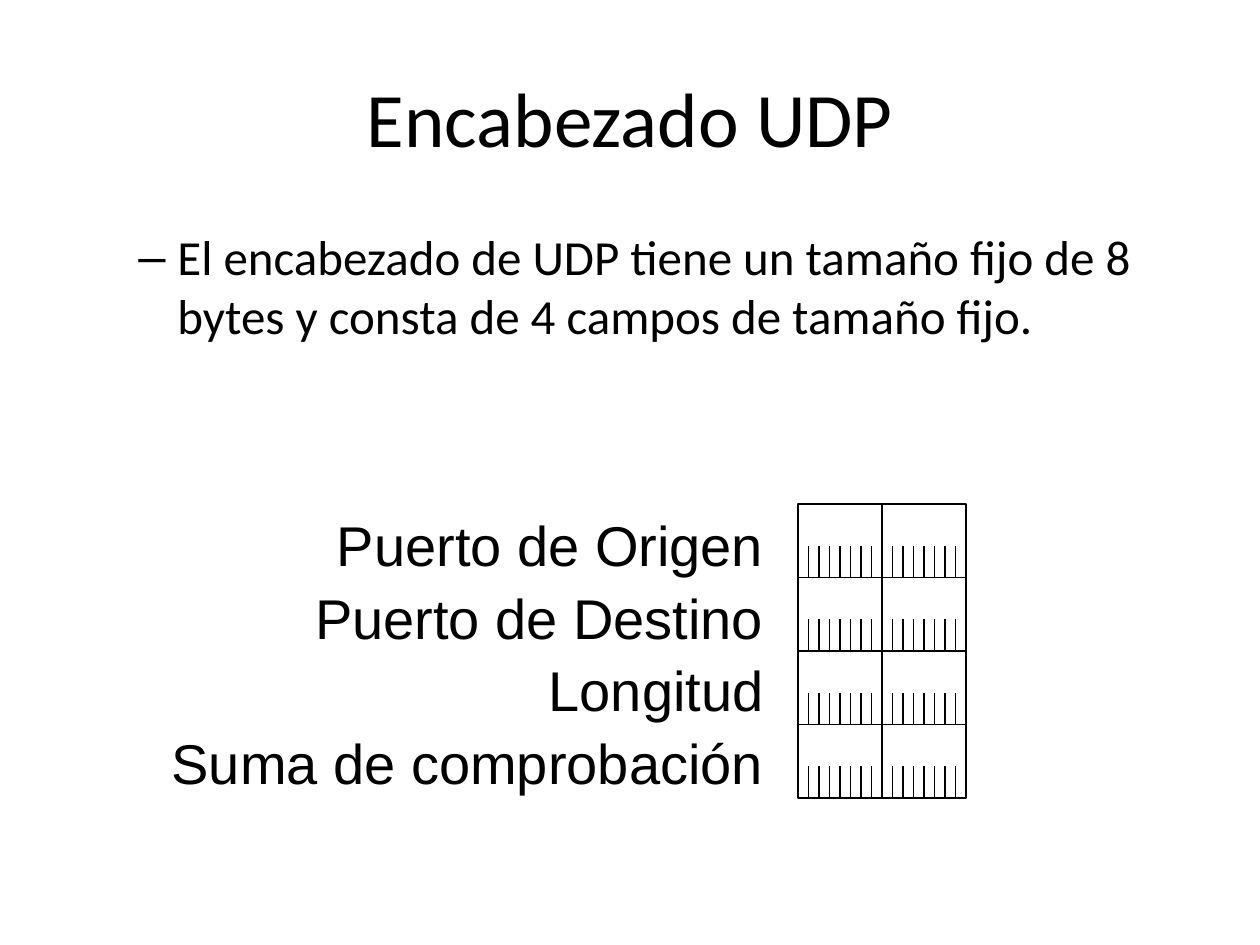
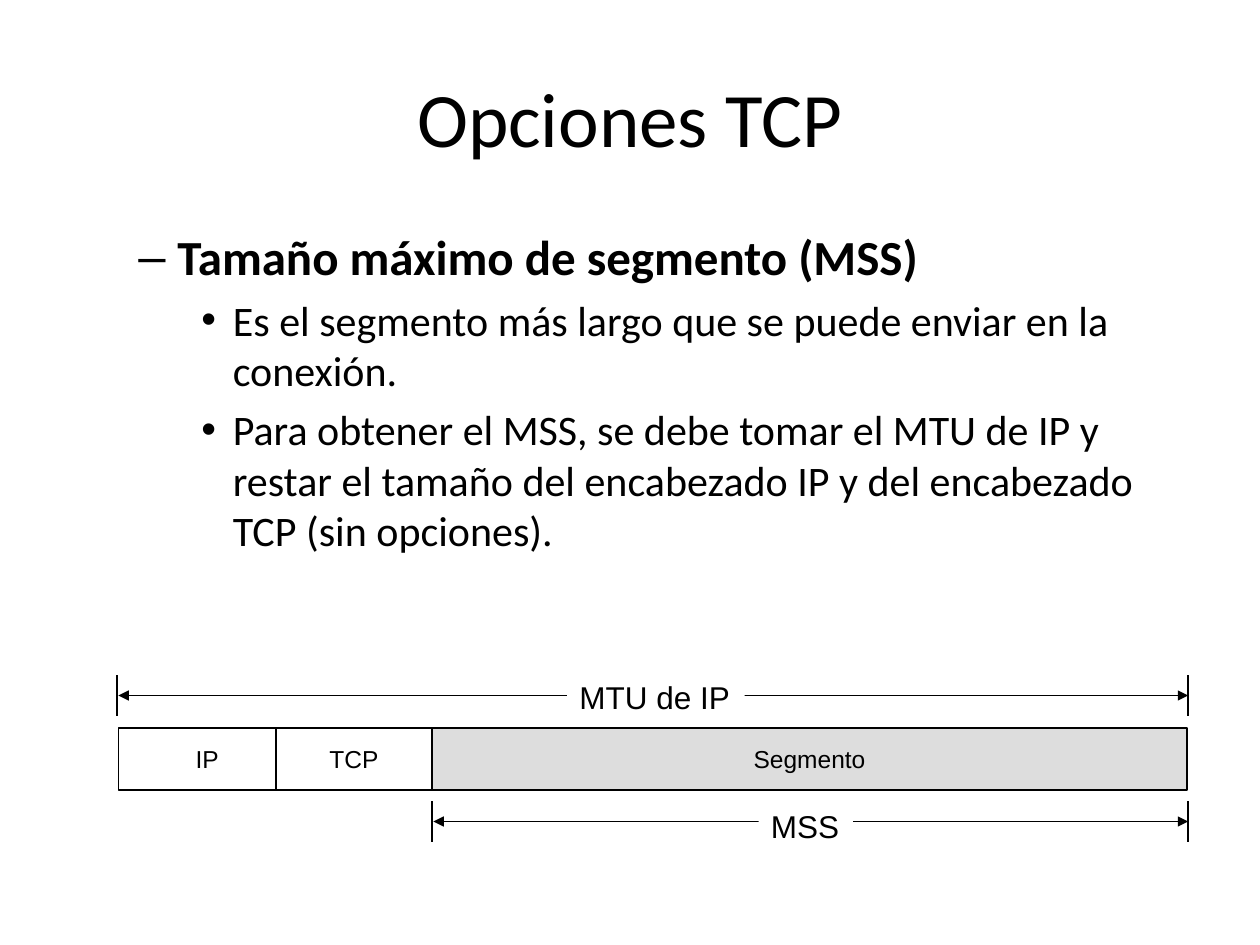
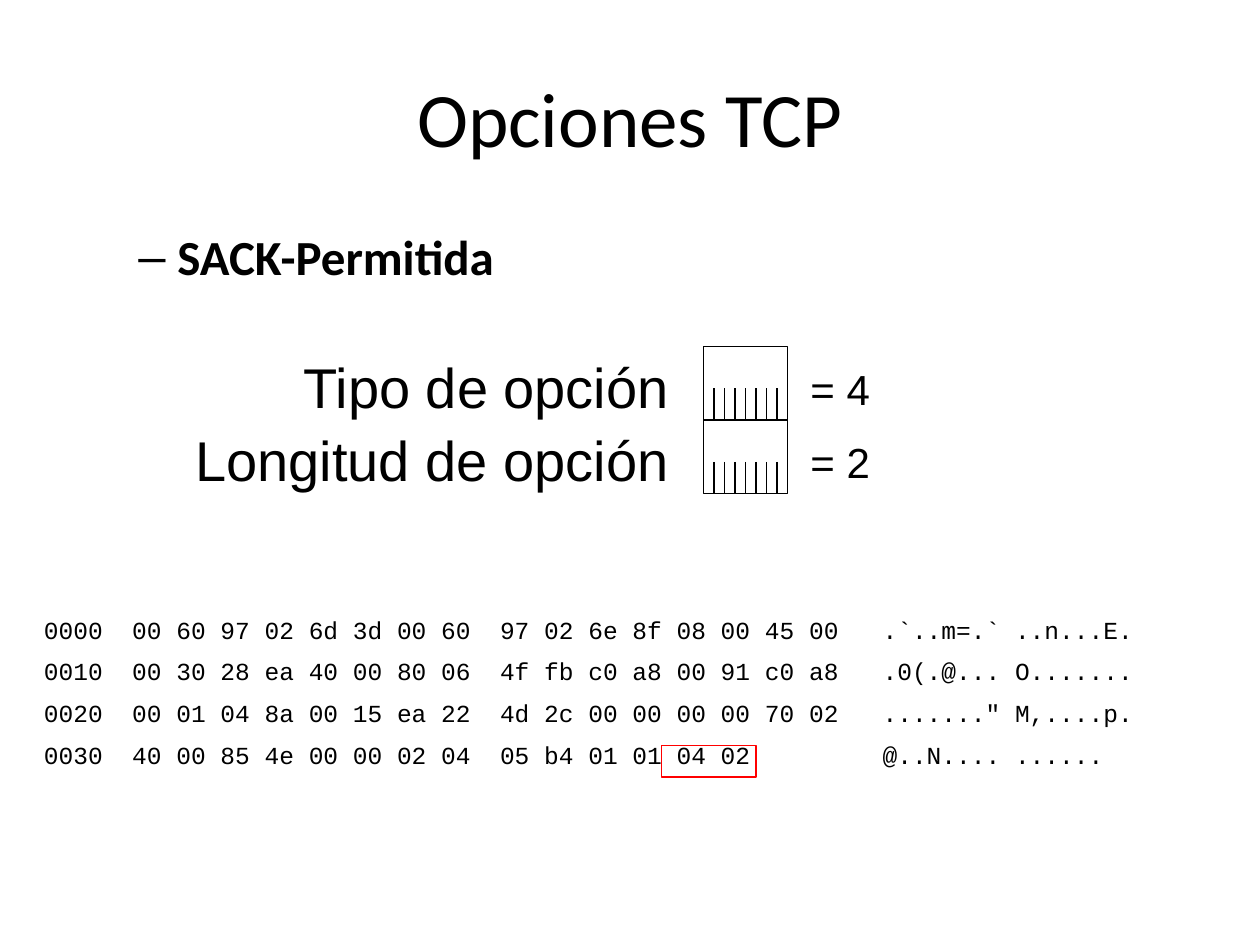
from itertools import product

from lxml.etree import SubElement
from pptx import Presentation
from pptx.dml.color import RGBColor
from pptx.enum.shapes import MSO_CONNECTOR as Link, MSO_SHAPE as Shape
from pptx.enum.text import MSO_ANCHOR as Anchor, PP_ALIGN as Align
from pptx.oxml.ns import qn
from pptx.util import Inches, Pt

BLACK = RGBColor(0x00, 0x00, 0x00)
WHITE = RGBColor(0xFF, 0xFF, 0xFF)
GREY = RGBColor(0xDD, 0xDD, 0xDD)
RED = RGBColor(0xFF, 0x00, 0x00)

BIT = 1 / 12                    # grid step, one bit wide
BYTE_W, BYTE_H = 8 * BIT, 7 * BIT
TICK = 3 * BIT                  # height of a bit mark

# level: indent, hanging part, bullet, size, space before
LEVELS = {
    1: (0.81, 0.31, "–", 28, 0),
    2: (1.25, 0.25, "•", 24, 5),
}


def write(shape, lines, size, face="Arial", align=Align.LEFT, gap=0, **frame):
    text = shape.text_frame
    for name, value in ({"word_wrap": True} | frame).items():
        setattr(text, name, value)
    text.text = "\n".join(lines)
    for row, para in enumerate(text.paragraphs):
        para.alignment = align
        para.space_before = Pt(gap if row else 0)
        look = {"size": Pt(size), "name": face}
        for name, value in look.items():
            setattr(para.font, name, value)
        para.font.color.rgb = BLACK


def rule(shapes, start, end, width, heads=False):
    """Draw a black line, with an arrowhead at both ends if heads is set."""
    link = shapes.add_connector(Link.STRAIGHT, *map(Inches, start + end))
    link.line.color.rgb = BLACK
    link.line.width = Pt(width)
    if heads:
        for tag in ("a:headEnd", "a:tailEnd"):
            SubElement(link.line._get_or_add_ln(), qn(tag), type="triangle")
    SubElement(link._element.spPr, qn("a:effectLst"))


deck = Presentation()
deck.slide_width, deck.slide_height = Inches(10), Inches(7.5)

# title, then points as (level, bold, text)
pages = [
    ("Encabezado UDP", [
        (1, False, "El encabezado de UDP tiene un tamaño fijo de 8 bytes y consta de 4 campos de tamaño fijo."),
    ]),
    ("Opciones TCP", [
        (1, True, "Tamaño máximo de segmento (MSS)"),
        (2, False, "Es el segmento más largo que se puede enviar en la conexión."),
        (2, False, "Para obtener el MSS, se debe tomar el MTU de IP y restar el tamaño "
                   "del encabezado IP y del encabezado TCP (sin opciones)."),
    ]),
    ("Opciones TCP", [(1, True, "SACK-Permitida")]),
]

slides = []
for title, points in pages:
    slide = deck.slides.add_slide(deck.slide_layouts[6])
    slides.append(slide.shapes)
    head = slide.shapes.add_textbox(*map(Inches, (0.5, 0.3, 9, 1.25)))
    write(head, [title], 44, "Calibri", Align.CENTER, vertical_anchor=Anchor.MIDDLE)
    body = slide.shapes.add_textbox(*map(Inches, (0.5, 1.75, 9, 4.95))).text_frame
    body.word_wrap = True
    for row, (level, bold, words) in enumerate(points):
        para = body.add_paragraph() if row else body.paragraphs[0]
        indent, hang, mark, size, gap = LEVELS[level]
        para.space_before = Pt(gap)
        props = para._p.get_or_add_pPr()
        props.set("marL", str(Inches(indent)))
        props.set("indent", str(-Inches(hang)))
        SubElement(props, qn("a:buFont"), typeface="Arial")
        SubElement(props, qn("a:buChar"), char=mark)
        para.text = words
        look = {"size": Pt(size), "name": "Calibri", "bold": bold}
        for name, value in look.items():
            setattr(para.font, name, value)
        para.font.color.rgb = BLACK

udp, mss, sack = slides
frames = []                     # shape, fill, edge, edge width

# Byte grids: left, top, columns, rows
for shapes, left, top, cols, rows in [(udp, 76 * BIT, 4, 2, 4), (sack, 67 * BIT, 2.75, 1, 2)]:
    for row, col in product(range(rows), range(cols)):
        x, y = left + col * BYTE_W, top + row * BYTE_H
        byte = shapes.add_group_shape().shapes
        cell = byte.add_shape(Shape.RECTANGLE, *map(Inches, (x, y, BYTE_W, BYTE_H)))
        frames.append((cell, WHITE, BLACK, 0.75))
        for bit in range(1, 8):
            mark = x + bit * BIT
            rule(byte, (mark, y + BYTE_H - TICK), (mark, y + BYTE_H), 0.75)

# Field names beside the grids
for shapes, place, names in [
    (udp, (1.17, 4, 4.99, 2.39),
     ["Puerto de Origen", "Puerto de Destino", "Longitud", "Suma de comprobación"]),
    (sack, (1.08, 2.75, 4.33, 1.22), ["Tipo de opción", "Longitud de opción"]),
]:
    label = shapes.add_textbox(*map(Inches, place))
    write(label, names, 32, align=Align.RIGHT, gap=3.2)

# Packet bar with its measures
for name, left, width, fill in [
    ("IP", 0.94, 1.41, WHITE), ("TCP", 2.19, 1.24, WHITE), ("Segmento", 3.43, 5.99, GREY),
]:
    part = mss.add_shape(Shape.RECTANGLE, *map(Inches, (left, 5.78, width, 0.49)))
    write(part, [name], 14, align=Align.CENTER, word_wrap=False, vertical_anchor=Anchor.MIDDLE)
    frames.append((part, fill, BLACK, 1))

RIGHT = 9.43
for name, left, top, place in [
    ("MTU de IP", 0.93, 5.36, (4.5, 5.33, 1.41, 0.4)),
    ("MSS", 3.43, 6.36, (6.02, 6.36, 0.75, 0.4)),
]:
    for x in (left, RIGHT):
        rule(mss, (x, top), (x, top + 0.32), 1)
    rule(mss, (left + 0.01, top + 0.16), (RIGHT, top + 0.16), 1, heads=True)
    label = mss.add_textbox(*map(Inches, place))
    label.fill.solid()
    label.fill.fore_color.rgb = WHITE
    write(label, [name], 18, word_wrap=False)

# Option values and packet dump
for row, value in enumerate(["= 4", "= 2"]):
    label = sack.add_textbox(*map(Inches, (76 * BIT, 34 * BIT + row * BYTE_H, 0.7, 0.5)))
    write(label, [value], 24, word_wrap=False)

dump = sack.add_textbox(*map(Inches, (0.25, 4.83, 9.58, 1.38)))
write(dump, [
    "0000  00 60 97 02 6d 3d 00 60  97 02 6e 8f 08 00 45 00   .`..m=.` ..n...E.",
    "0010  00 30 28 ea 40 00 80 06  4f fb c0 a8 00 91 c0 a8   .0(.@... O.......",
    '0020  00 01 04 8a 00 15 ea 22  4d 2c 00 00 00 00 70 02   ......." M,....p.',
    "0030  40 00 85 4e 00 00 02 04  05 b4 01 01 04 02         @..N.... ......",
], 14, "Courier New", gap=7)

focus = sack.add_shape(Shape.RECTANGLE, *map(Inches, (5.25, 71 * BIT, 0.75, TICK)))
frames.append((focus, None, RED, 0.75))

for shape, fill, edge, width in frames:
    shape.shadow.inherit = False
    if fill is None:
        shape.fill.background()
    else:
        shape.fill.solid()
        shape.fill.fore_color.rgb = fill
    shape.line.color.rgb = edge
    shape.line.width = Pt(width)

deck.save("out.pptx")
